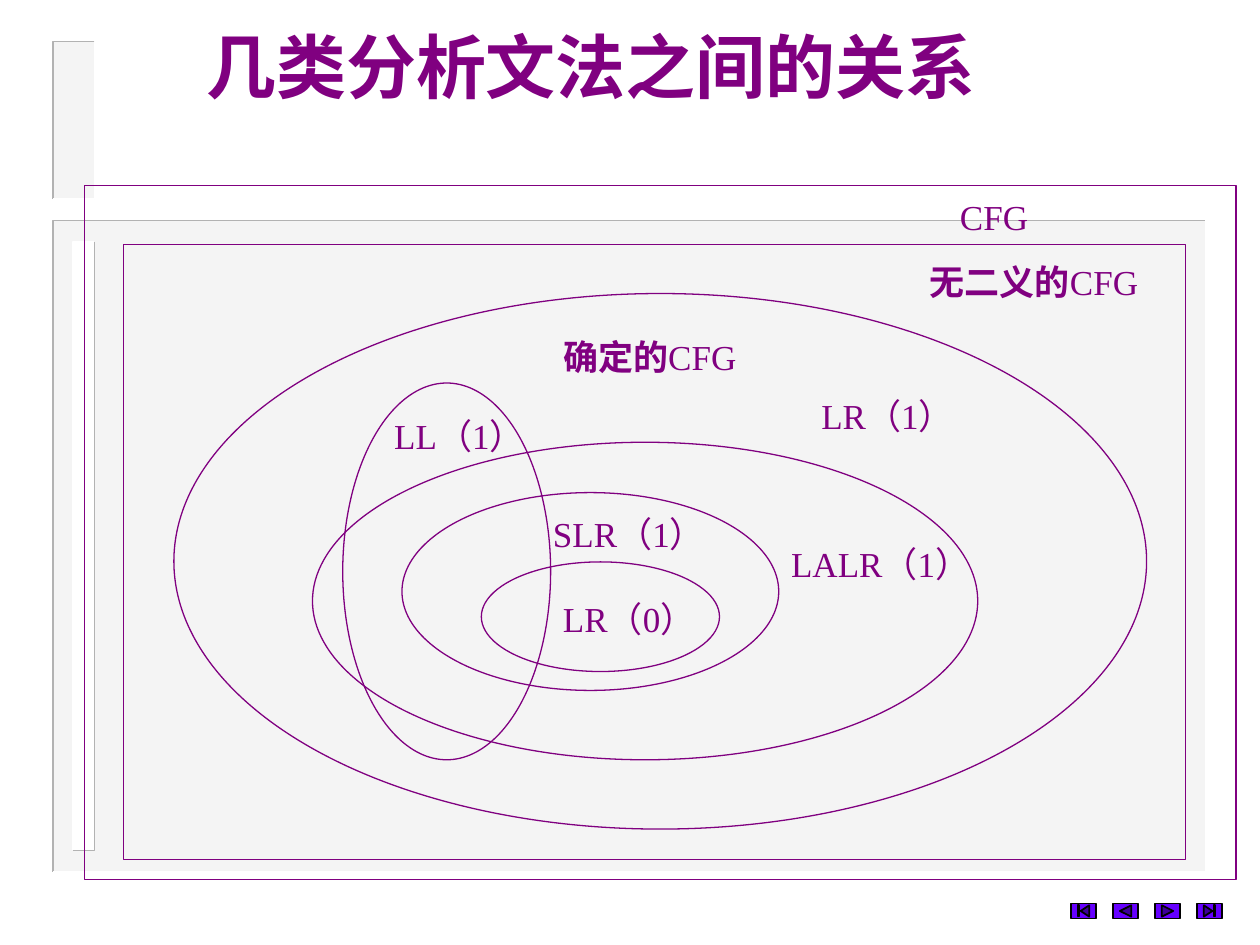
from pptx import Presentation
from pptx.dml.color import RGBColor
from pptx.enum.shapes import MSO_SHAPE
from pptx.enum.text import MSO_AUTO_SIZE, PP_ALIGN
from pptx.oxml.ns import qn
from pptx.util import Inches, Pt
from lxml import etree

RECT = MSO_SHAPE.RECTANGLE
OVAL = MSO_SHAPE.OVAL
FIRST = MSO_SHAPE.ACTION_BUTTON_BEGINNING
BACK = MSO_SHAPE.ACTION_BUTTON_BACK_OR_PREVIOUS
NEXT = MSO_SHAPE.ACTION_BUTTON_FORWARD_OR_NEXT
LAST = MSO_SHAPE.ACTION_BUTTON_END
LEFT = PP_ALIGN.LEFT
CENTER = PP_ALIGN.CENTER
FIT = MSO_AUTO_SIZE.SHAPE_TO_FIT_TEXT
NO_FIT = MSO_AUTO_SIZE.NONE

FONT = "Times New Roman"
PURPLE = "800080"
GRAY = "B2B2B2"
WHITE = "FFFFFF"
PALE = "EAEAEA"

SETS = [
    (OVAL, (3.15, 2.99, 1.89, 0.87), [("LR（0）", False)], (3.7, 3.22, 1.34, 0.77)),
    (OVAL, (2.52, 2.44, 2.99, 1.57), [("SLR（1）", False)], (3.62, 2.55, 1.5, 0.77)),
    (OVAL, (1.81, 2.04, 5.28, 2.52), [("LALR（1）", False)], (5.51, 2.79, 1.65, 0.77)),
    (OVAL, (0.71, 0.86, 7.72, 4.25), [("LR（1）", False)], (5.75, 1.61, 1.42, 0.77)),
    (OVAL, (2.05, 1.57, 1.65, 2.99), [("LL（1）", False)], (2.36, 1.77, 1.42, 0.77)),
    (None, None, [("确定的", True), ("CFG", False)], (3.7, 1.14, 1.81, 0.44)),
    (RECT, (0.31, 0.47, 8.43, 4.88), [("无二义的", True), ("CFG", False)], (6.61, 0.55, 2.05, 0.44)),
    (RECT, (0, 0, 9.14, 5.51), [("CFG", False)], (6.85, 0.03, 2.05, 0.44)),
]


def color(code):
    return RGBColor.from_string(code)


def style(shape, fill=None, line=None, width=1, alpha=None):
    shape.shadow.inherit = False
    if fill:
        shape.fill.solid()
        shape.fill.fore_color.rgb = color(fill)
        if alpha:
            tone = shape.fill._xPr.find(qn("a:solidFill"))[0]
            etree.SubElement(tone, qn("a:alpha"), val=str(alpha * 1000))
    else:
        shape.fill.background()
    if line:
        shape.line.color.rgb = color(line)
        shape.line.width = Pt(width)
    else:
        shape.line.fill.background()


def block(slide, kind, box, **look):
    shape = slide.shapes.add_shape(kind, *map(Inches, box))
    style(shape, **look)


def bend(slide, points, line):
    spots = [(Inches(x), Inches(y)) for x, y in points]
    path = slide.shapes.build_freeform(*spots[0])
    path.add_line_segments(spots[1:], close=False)
    style(path.convert_to_shape(), line=line)


def write(slide, box, runs, size=20, align=LEFT, before=None, space=None, fit=FIT):
    frame = slide.shapes.add_textbox(*map(Inches, box)).text_frame
    frame.word_wrap = True
    frame.auto_size = fit
    para = frame.paragraphs[0]
    para.alignment = align
    if before:
        para.space_before = Pt(before)
    if space:
        para.line_spacing = space
    for text, bold in runs:
        run = para.add_run()
        run.text = text
        run.font.name = FONT
        run.font.size = Pt(size)
        run.font.bold = bold
        run.font.color.rgb = color(PURPLE)


def panel(slide, box, fill, top, low, alpha=None):
    x, y, w, h = box
    right, base = x + w, y + h
    block(slide, RECT, box, fill=fill, alpha=alpha)
    bend(slide, [(right, y), (x, y), (x, base)], top)
    bend(slide, [(right, y), (right, base), (x, base)], low)


def venn(slide, left, top):
    for kind, area, runs, label in SETS:
        if kind:
            x, y, w, h = area
            block(slide, kind, (left + x, top + y, w, h), line=PURPLE, width=0.75)
        x, y, w, h = label
        write(slide, (left + x, top + y, w, h), runs, before=12.5)


def buttons(slide, left, top):
    for i, kind in enumerate([FIRST, BACK, NEXT, LAST]):
        block(slide, kind, (left + i / 3, top, 0.2, 0.12), fill="6600FF", line="000000")


def main():
    deck = Presentation()
    deck.slide_width = Inches(10)
    deck.slide_height = Inches(7.5)
    slide = deck.slides.add_slide(deck.slide_layouts[6])
    panel(slide, (0.42, 1.75, 9.15, 5.17), PALE, GRAY, WHITE, alpha=50)
    panel(slide, (0.58, 1.92, 0.17, 4.83), WHITE, WHITE, GRAY)
    panel(slide, (0.42, 0.33, 0.33, 1.25), PALE, GRAY, WHITE, alpha=50)
    write(slide, (1.46, 0.21, 6.46, 0.7), [("几类分析文法之间的关系", True)],
          size=40, align=CENTER, space=0.9, fit=NO_FIT)
    buttons(slide, 8.5, 7.17)
    venn(slide, 0.67, 1.47)
    deck.save("out.pptx")


if __name__ == "__main__":
    main()
